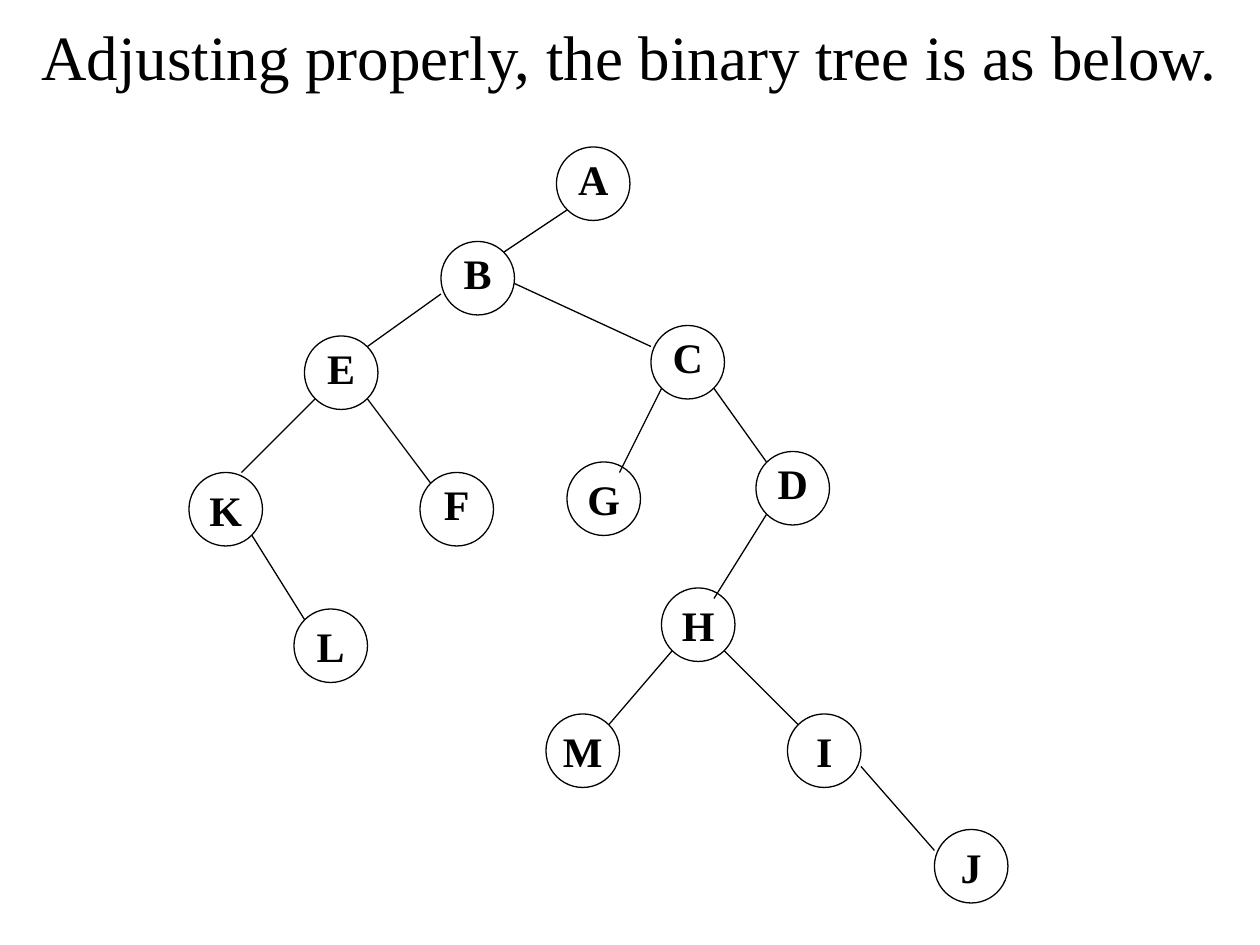
from lxml.etree import SubElement
from pptx import Presentation
from pptx.dml.color import RGBColor
from pptx.enum.shapes import MSO_CONNECTOR, MSO_SHAPE
from pptx.enum.text import MSO_ANCHOR, PP_ALIGN
from pptx.oxml.ns import qn
from pptx.util import Cm, Pt

COLOURS = {"ink": "000000"}
GRID_CM = 2.54 / 12
NODE_SIZE = 7
LABEL_HEIGHT = 6
TITLE = "Adjusting properly, the binary tree is as below."
TITLE_FORMAT = {"name": "Times New Roman", "size": Pt(36), "bold": False}
LABEL_FORMAT = {"name": "Times New Roman", "size": Pt(24), "bold": True}

INNER_LABEL_NODES = {
    "J": (89, 79), "I": (75, 68), "M": (52, 68), "H": (63, 56), "L": (28, 58),
}
BOXED_LABEL_NODES = {
    "A": (53, 14), "B": (42, 23), "E": (29, 32), "C": (62, 31),
    "D": (72, 43), "K": (18, 45), "G": (54, 44), "F": (40, 45),
}
LABEL_DROPS = {"G": 0.5, "K": 0.6}
BRANCHES = {
    "AB": (54, 20, 48, 24), "BE": (42, 28, 35, 33), "EK": (30, 38, 23, 45),
    "KL": (24, 51, 29, 59), "EF": (35, 38, 41, 46), "BC": (49, 27, 62, 33),
    "CG": (63, 37, 59, 45), "CD": (68, 37, 73, 44), "DH": (73, 49, 68, 57),
    "HM": (64, 62, 58, 69), "HI": (69, 62, 76, 69), "IJ": (82, 73, 89, 81),
}


def grid(*steps):
    """Turn grid steps into lengths."""
    return [Cm(step * GRID_CM) for step in steps]


def style_line(line):
    """Give an outline or branch its thin dark stroke."""
    line.color.rgb = RGBColor.from_string(COLOURS["ink"])
    line.width = Pt(0.75)


def write_text(frame, text, formats):
    """Write one centred, formatted line into a text frame."""
    para = frame.paragraphs[0]
    para.alignment = PP_ALIGN.CENTER
    span = para.add_run()
    span.text = text
    for attribute, value in formats.items():
        setattr(span.font, attribute, value)
    span.font.color.rgb = RGBColor.from_string(COLOURS["ink"])


def add_node(page, left, top):
    """Draw one tree node and return its circle."""
    circle = page.shapes.add_shape(
        MSO_SHAPE.OVAL, *grid(left, top, NODE_SIZE, NODE_SIZE))
    circle.shadow.inherit = False
    circle.fill.background()
    style_line(circle.line)
    return circle


def add_labelled_node(page, letter, left, top):
    """Draw a node that holds its own letter."""
    frame = add_node(page, left, top).text_frame
    frame.word_wrap = False
    frame.vertical_anchor = MSO_ANCHOR.MIDDLE
    write_text(frame, letter, LABEL_FORMAT)


def add_branch(page, ends):
    """Draw one branch between two nodes."""
    branch = page.shapes.add_connector(MSO_CONNECTOR.STRAIGHT, *grid(*ends))
    style_line(branch.line)
    SubElement(branch._element.spPr, qn("a:effectLst"))


def add_text(page, text, position, formats):
    """Place a centred line of text in its own box."""
    box = page.shapes.add_textbox(*position)
    box.text_frame.word_wrap = True
    write_text(box.text_frame, text, formats)


def main():
    """Build the binary tree page and save the deck."""
    deck = Presentation()
    deck.slide_width, deck.slide_height = Cm(25.4), Cm(19.05)
    page = deck.slides.add_slide(deck.slide_layouts[6])
    for left, top in BOXED_LABEL_NODES.values():
        add_node(page, left, top)
    for letter, (left, top) in INNER_LABEL_NODES.items():
        add_labelled_node(page, letter, left, top)
    for ends in BRANCHES.values():
        add_branch(page, ends)
    for letter, (left, top) in BOXED_LABEL_NODES.items():
        label_top = top + LABEL_DROPS.get(letter, 0)
        position = grid(left, label_top, NODE_SIZE, LABEL_HEIGHT)
        add_text(page, letter, position, LABEL_FORMAT)
    title_position = Cm(0.28), Cm(0.23), Cm(24.82), Cm(1.78)
    add_text(page, TITLE, title_position, TITLE_FORMAT)
    deck.save("out.pptx")


if __name__ == "__main__":
    main()
